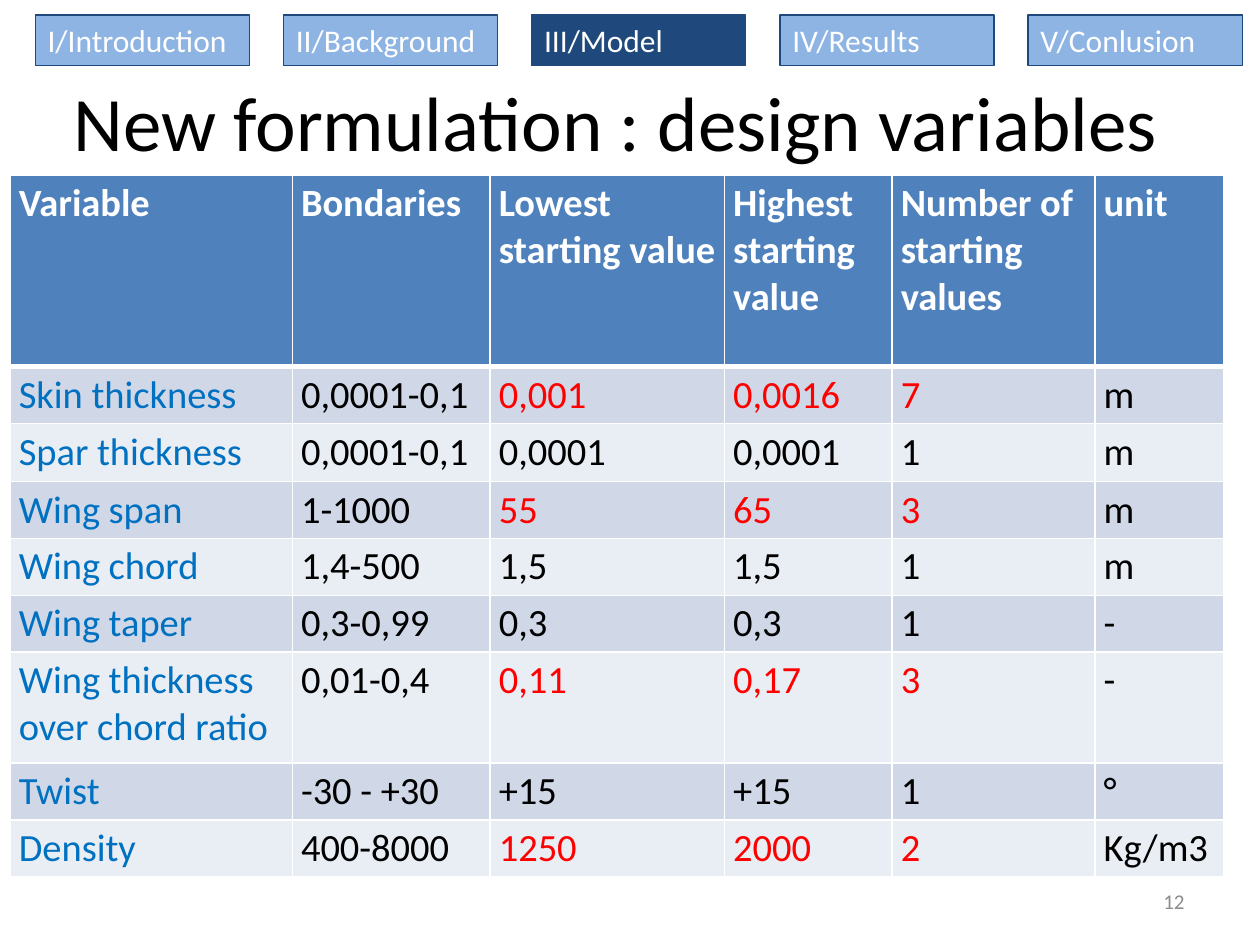
from lxml import etree
from pptx import Presentation
from pptx.dml.color import RGBColor
from pptx.enum import shapes, text
from pptx.oxml import ns
from pptx.util import Inches, Pt

TABS = ["I/Introduction", "II/Background", "III/Model", "IV/Results", "V/Conlusion"]
ACTIVE = "III/Model"
TITLE = "New formulation : design variables"
PAGE = "12"
HEADS = ["Variable", "Bondaries", "Lowest starting value",
         "Highest starting value", "Number of starting values", "unit"]
ROWS = [
    ("Skin thickness", "0,0001-0,1", "0,001", "0,0016", "7", "m"),
    ("Spar thickness", "0,0001-0,1", "0,0001", "0,0001", "1", "m"),
    ("Wing span", "1-1000", "55", "65", "3", "m"),
    ("Wing chord", "1,4-500", "1,5", "1,5", "1", "m"),
    ("Wing taper", "0,3-0,99", "0,3", "0,3", "1", "-"),
    ("Wing thickness over chord ratio", "0,01-0,4", "0,11", "0,17", "3", "-"),
    ("Twist", "-30 - +30", "+15", "+15", "1", "°"),
    ("Density", "400-8000", "1250", "2000", "2", "Kg/m3"),
]
WIDTHS = [2.24, 1.57, 1.86, 1.33, 1.61, 1.02]
HEIGHTS = [1.52, 0.44, 0.46, 0.44, 0.44, 0.44, 0.88, 0.44, 0.44]

WHITE, BLACK, RED, BLUE, GREY = "FFFFFF", "000000", "FF0000", "0070C0", "8C8C8C"
NAVY, PALE, HEAD = "1F497D", "8EB4E3", "4F81BD"
BANDS = ["E9EDF4", "D0D8E8"]


def rgb(code):
    return RGBColor.from_string(code)


def write(frame, words, size, color=BLACK, bold=False,
          align=text.PP_ALIGN.LEFT, anchor=text.MSO_ANCHOR.TOP):
    frame.word_wrap = True
    frame.vertical_anchor = anchor
    para = frame.paragraphs[0]
    para.alignment = align
    run = para.add_run()
    run.text = words
    font = run.font
    font.name, font.size, font.bold = "Calibri", Pt(size), bold
    font.color.rgb = rgb(color)


def paint(shape, color):
    shape.fill.solid()
    shape.fill.fore_color.rgb = rgb(color)


def edge(cell, **widths):
    """Draw white cell borders; sides L, R, T, B with widths in points."""
    props = cell._tc.get_or_add_tcPr()
    for side, width in widths.items():
        line = etree.SubElement(props, ns.qn("a:ln" + side), w=str(Pt(width)))
        fill = etree.SubElement(line, ns.qn("a:solidFill"))
        etree.SubElement(fill, ns.qn("a:srgbClr"), val=WHITE)


def ink(row, col):
    """Name column is blue; starting values that vary are red."""
    if col == 0:
        return BLUE
    return RED if col in (2, 3, 4) and row[2] != row[3] else BLACK


def add_grid(slide):
    grid = slide.shapes.add_table(
        len(HEIGHTS), len(WIDTHS), Inches(0.08), Inches(1.39),
        Inches(sum(WIDTHS)), Inches(sum(HEIGHTS))).table
    for col, width in zip(grid.columns, WIDTHS):
        col.width = Inches(width)
    for row, height in zip(grid.rows, HEIGHTS):
        row.height = Inches(height)
    for r, row in enumerate([HEADS] + ROWS):
        for c, words in enumerate(row):
            cell = grid.cell(r, c)
            cell.margin_left = cell.margin_right = Inches(0.07)
            cell.margin_top = cell.margin_bottom = Inches(0.04)
            edge(cell, L=1, R=1, T=3 if r == 1 else 1, B=1 if r else 3)
            paint(cell, BANDS[r % 2] if r else HEAD)
            write(cell.text_frame, words, 22, bold=r == 0,
                  color=ink(row, c) if r else WHITE)


def add_tabs(slide):
    for i, name in enumerate(TABS):
        tab = slide.shapes.add_shape(
            shapes.MSO_SHAPE.RECTANGLE, Inches(0.28 + 1.97 * i), Inches(0.12),
            Inches(1.7), Inches(0.4))
        tab.shadow.inherit = False
        paint(tab, NAVY if name == ACTIVE else PALE)
        tab.line.color.rgb = rgb(NAVY)
        tab.line.width = Pt(0.75)
        write(tab.text_frame, name, 18, WHITE)


def main():
    deck = Presentation()
    deck.slide_width, deck.slide_height = Inches(10), Inches(7.5)
    slide = deck.slides.add_slide(deck.slide_layouts[5])
    add_grid(slide)
    title = slide.shapes.title
    title.left, title.top = Inches(0.28), Inches(0.54)
    title.width, title.height = Inches(9.22), Inches(1.25)
    write(title.text_frame, TITLE, 44, align=text.PP_ALIGN.CENTER)
    page = slide.shapes.add_textbox(
        Inches(7.17), Inches(6.95), Inches(2.33), Inches(0.4))
    write(page.text_frame, PAGE, 12, GREY, align=text.PP_ALIGN.RIGHT,
          anchor=text.MSO_ANCHOR.MIDDLE)
    add_tabs(slide)
    deck.save("out.pptx")


if __name__ == "__main__":
    main()
